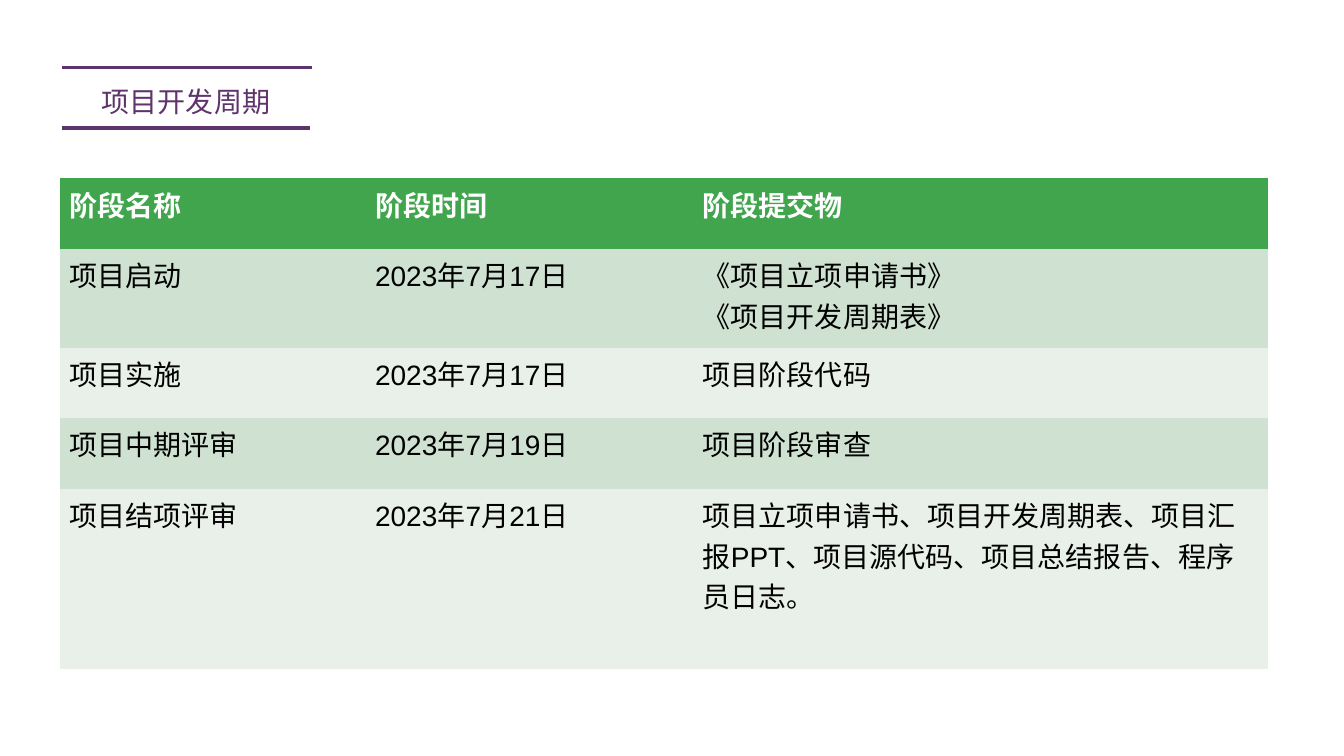
from lxml import etree
from pptx import Presentation
from pptx.dml.color import RGBColor
from pptx.enum.shapes import MSO_CONNECTOR
from pptx.enum.text import MSO_AUTO_SIZE, PP_ALIGN
from pptx.oxml.ns import qn
from pptx.util import Inches, Pt

STRAIGHT = MSO_CONNECTOR.STRAIGHT
CENTER = PP_ALIGN.CENTER
GROW = MSO_AUTO_SIZE.SHAPE_TO_FIT_TEXT
HAN = "Noto Sans CJK SC"
PURPLE = "5F346C"
GREEN = "41A54D"
BANDS = ["E9F0E9", "CFE1D0"]
PLAIN = "{2D5ABB26-0587-4C30-8999-92F81FD0307C}"


def color(code):
    return RGBColor.from_string(code)


def style(para, face, code, bold=False):
    for run in para.runs:
        font = run.font
        font.size = Pt(20)
        font.name = face
        font.bold = bold
        font.color.rgb = color(code)
        east = etree.SubElement(font._element, qn("a:ea"))
        east.set("typeface", HAN)


deck = Presentation()
deck.slide_width = Inches(13.33)
deck.slide_height = Inches(7.5)
slide = deck.slides.add_slide(deck.slide_layouts[6])
shapes = slide.shapes

for right, y in [(3.09, 0.67), (3.07, 1.27)]:
    rule = shapes.add_connector(STRAIGHT, Inches(0.62), Inches(y), Inches(right), Inches(y))
    rule.line.color.rgb = color(PURPLE)
    rule.line.width = Pt(2.25)
    etree.SubElement(rule._element.spPr, qn("a:effectLst"))

title = shapes.add_textbox(Inches(0.62), Inches(0.72), Inches(2.45), Inches(0.47))
frame = title.text_frame
frame.word_wrap = True
frame.auto_size = GROW
frame.text = "项目开发周期"
head = frame.paragraphs[0]
head.alignment = CENTER
head.line_spacing = 1.2
style(head, HAN, PURPLE)

rows = [
    ["阶段名称", "阶段时间", "阶段提交物"],
    ["项目启动", "2023年7月17日", "《项目立项申请书》\n《项目开发周期表》"],
    ["项目实施", "2023年7月17日", "项目阶段代码"],
    ["项目中期评审", "2023年7月19日", "项目阶段审查"],
    ["项目结项评审", "2023年7月21日",
     "项目立项申请书、项目开发周期表、项目汇报PPT、项目源代码、项目总结报告、程序员日志。"],
]
widths = [3.03, 3.25, 5.71]
heights = [0.7, 0.98, 0.7, 0.7, 1.79]

grid = shapes.add_table(len(rows), len(widths), Inches(0.59), Inches(1.77),
                        Inches(sum(widths)), Inches(sum(heights)))
table = grid.table
table._tbl.tblPr.find(qn("a:tableStyleId")).text = PLAIN
for col, width in zip(table.columns, widths):
    col.width = Inches(width)
for r, (row, height) in enumerate(zip(rows, heights)):
    table.rows[r].height = Inches(height)
    top = r == 0
    for c, text in enumerate(row):
        cell = table.cell(r, c)
        cell.fill.solid()
        cell.fill.fore_color.rgb = color(GREEN if top else BANDS[r % 2])
        cell.text_frame.text = text
        for para in cell.text_frame.paragraphs:
            style(para, "Arial", "FFFFFF" if top else "000000", top)

deck.save("out.pptx")
